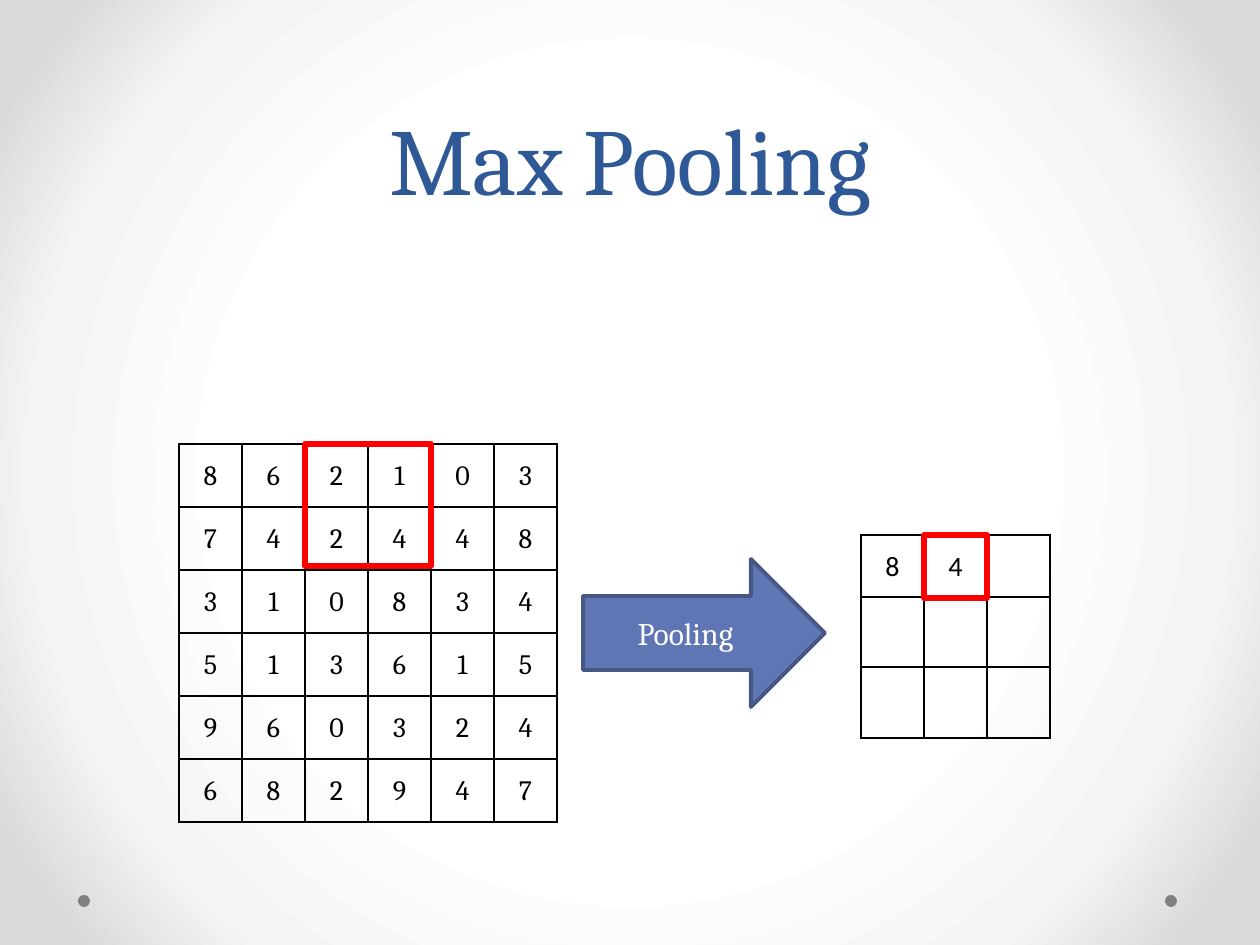
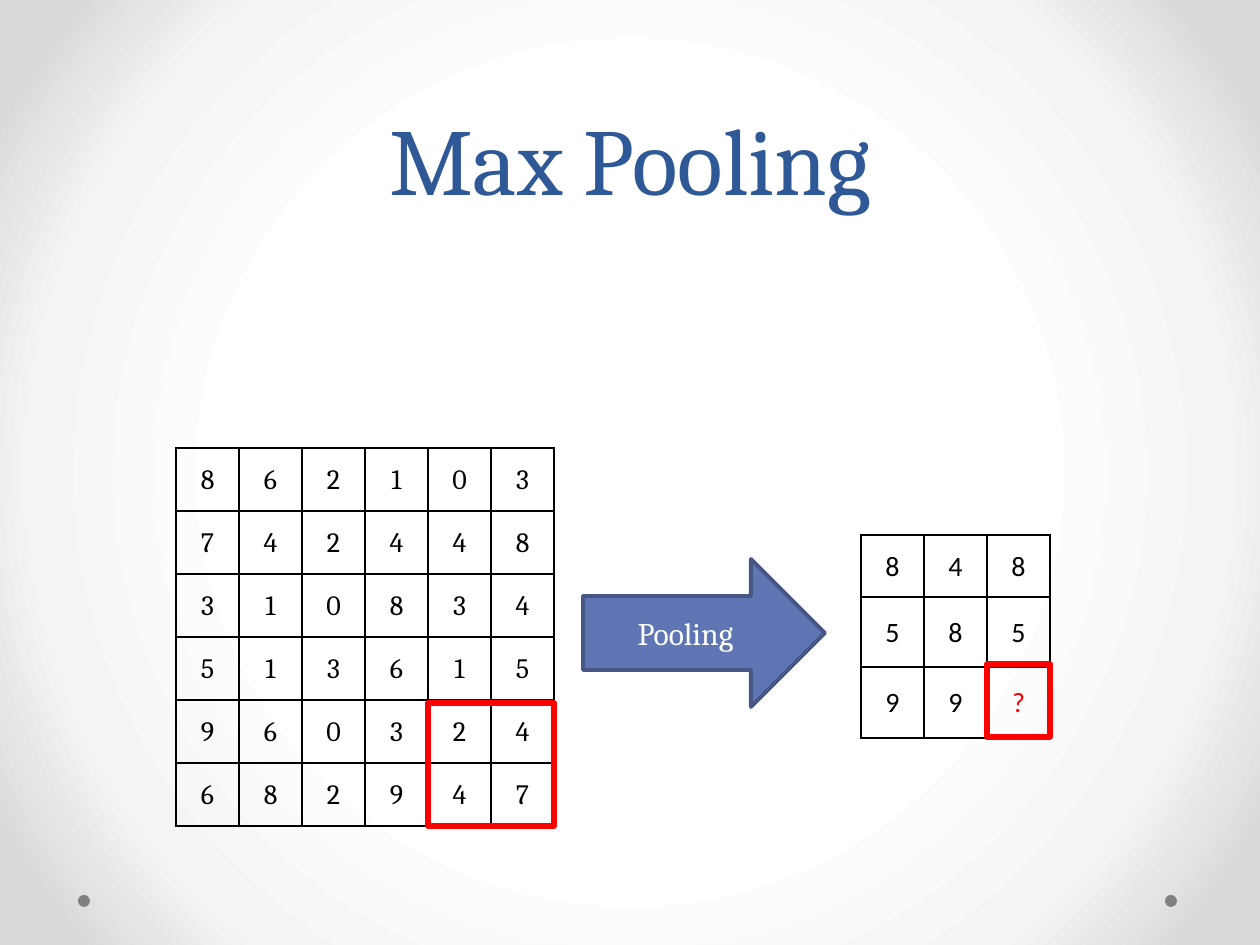
import dataclasses
import typing

import lxml.etree
import pptx
import pptx.dml.color
import pptx.enum.shapes
import pptx.enum.text
import pptx.oxml
import pptx.oxml.ns
import pptx.util

Kind = pptx.enum.shapes.MSO_SHAPE
Anchor = pptx.enum.text.MSO_ANCHOR
Align = pptx.enum.text.PP_ALIGN
qn = pptx.oxml.ns.qn


# Colours, fonts and type sizes
@dataclasses.dataclass(frozen=True)
class Theme:
    title: str = "2F5897"
    ink: str = "000000"
    white: str = "FFFFFF"
    mark: str = "FF0000"
    arrow: str = "6076B4"
    edge: str = "475785"
    dot: str = "808080"
    glow: tuple = ((50, "FFFFFF"), (76, "F4F4F4"), (92, "DADADA"))
    serif: str = "Cambria"
    sans: str = "Calibri"
    head_size: int = 54
    head_lead: int = 58
    label_size: int = 18
    cell_size: int = 16
    grid_line: float = 1
    edge_line: float = 2.25
    mark_line: float = 3


THEME = Theme()


class Box(typing.NamedTuple):
    left: int
    top: int
    width: int
    height: int


class Grid(typing.NamedTuple):
    left: int
    top: int
    rows: tuple[str, ...]  # one character a cell, a space for an empty one
    heights: tuple[int, ...]
    font: str


class Page(typing.NamedTuple):
    input: Grid
    output: Grid
    marks: tuple[Box, ...]


# Sizes in px
CELL = 63
WIDE, HIGH = 1260, 945
TITLE = Box(63, 0, 1134, 221)
ARROW = Box(583, 559, 242, 148)
DOTS = (Box(1165, 895, 12, 12), Box(78, 895, 12, 12))

DIGITS = ("862103", "742448", "310834", "513615", "960324", "682947")


def px(count: int) -> int:
    return round(count * 914400 / 126)


def scale(box: Box) -> tuple[int, ...]:
    return tuple(px(side) for side in box)


def rgb(code: str) -> pptx.dml.color.RGBColor:
    return pptx.dml.color.RGBColor.from_string(code)


# Text
def write(frame, text: str, *, size: float, color: str, font: str,
          lead: float | None = None) -> None:
    para = frame.paragraphs[0]
    para.alignment = Align.CENTER
    if lead:
        para.line_spacing = pptx.util.Pt(lead)
    run = para.add_run()
    run.text = text
    run.font.size = pptx.util.Pt(size)
    run.font.name = font
    run.font.color.rgb = rgb(color)


# Shapes
def draw(slide, kind, box: Box, *, fill: str | None = None,
         line: str | None = None, width: float = 1):
    shape = slide.shapes.add_shape(kind, *scale(box))
    shape.shadow.inherit = False
    if fill:
        shape.fill.solid()
        shape.fill.fore_color.rgb = rgb(fill)
    else:
        shape.fill.background()
    if line:
        shape.line.color.rgb = rgb(line)
        shape.line.width = pptx.util.Pt(width)
    else:
        shape.line.fill.background()
    return shape


# Tables
def border(cell) -> None:
    props = cell._tc.get_or_add_tcPr()
    for spot, side in enumerate(("lnL", "lnR", "lnT", "lnB")):
        line = lxml.etree.Element(qn(f"a:{side}"))
        line.set("w", str(pptx.util.Pt(THEME.grid_line)))
        fill = lxml.etree.SubElement(line, qn("a:solidFill"))
        lxml.etree.SubElement(fill, qn("a:srgbClr")).set("val", THEME.ink)
        props.insert(spot, line)


def tabulate(slide, grid: Grid) -> None:
    count = len(grid.rows[0])
    box = Box(grid.left, grid.top, count * CELL, sum(grid.heights))
    table = slide.shapes.add_table(len(grid.rows), count, *scale(box)).table
    table.first_row = table.horz_banding = False
    for col in table.columns:
        col.width = px(CELL)
    for row, high, marks in zip(table.rows, grid.heights, grid.rows):
        row.height = px(high)
        for cell, mark in zip(row.cells, marks):
            cell.fill.background()
            border(cell)
            cell.vertical_anchor = Anchor.MIDDLE
            cell.margin_left = cell.margin_right = cell.margin_top = px(1)
            cell.margin_bottom = 0
            if mark != " ":
                color = THEME.mark if mark == "?" else THEME.ink
                write(cell.text_frame, mark, size=THEME.cell_size,
                      color=color, font=grid.font)


# Shared background, title place and dots
def shade(master) -> None:
    master.background.fill.solid()
    solid = next(master.element.iter(qn("a:solidFill")))
    stops = "".join(
        f'<a:gs pos="{spot * 1000}"><a:srgbClr val="{code}"/></a:gs>'
        for spot, code in THEME.glow)
    glow = pptx.oxml.parse_xml(
        f'<a:gradFill {pptx.oxml.ns.nsdecls("a")} rotWithShape="1">'
        f'<a:gsLst>{stops}</a:gsLst><a:path path="circle">'
        '<a:fillToRect l="50000" t="50000" r="50000" b="50000"/>'
        '</a:path></a:gradFill>')
    solid.getparent().replace(solid, glow)


def dress(layout, slide) -> None:
    title = layout.placeholders[0]
    title.left, title.top, title.width, title.height = scale(TITLE)
    title.text_frame.vertical_anchor = Anchor.BOTTOM
    for box in DOTS:
        dot = draw(slide, Kind.OVAL, box, fill=THEME.dot)
        layout.element.cSld.spTree.append(dot.element)


# One slide
def build(slide, page: Page) -> None:
    write(slide.shapes.title.text_frame, "Max Pooling", size=THEME.head_size,
          color=THEME.title, font=THEME.serif, lead=THEME.head_lead)
    tabulate(slide, page.input)
    tabulate(slide, page.output)
    arrow = draw(slide, Kind.RIGHT_ARROW, ARROW, fill=THEME.arrow,
                 line=THEME.edge, width=THEME.edge_line)
    arrow.text_frame.vertical_anchor = Anchor.MIDDLE
    write(arrow.text_frame, "Pooling", size=THEME.label_size,
          color=THEME.white, font=THEME.serif)
    for box in page.marks:
        draw(slide, Kind.RECTANGLE, box, line=THEME.mark,
             width=THEME.mark_line)


def source(left: int, top: int) -> Grid:
    return Grid(left, top, DIGITS, (CELL,) * len(DIGITS), THEME.serif)


def result(*rows: str) -> Grid:
    return Grid(861, 535, rows, (62, 70, 71), THEME.sans)


PAGES = (
    Page(source(179, 444), result("84 ", "   ", "   "),
         (Box(924, 535, 63, 63), Box(305, 444, 126, 122))),
    Page(source(176, 448), result("848", "585", "99?"),
         (Box(987, 664, 63, 73), Box(428, 703, 126, 123))),
)


def main() -> None:
    deck = pptx.Presentation()
    deck.slide_width, deck.slide_height = px(WIDE), px(HIGH)
    layout = deck.slide_layouts.get_by_name("Title Only")
    shade(deck.slide_master)
    slides = [deck.slides.add_slide(layout) for _ in PAGES]
    dress(layout, slides[0])
    for slide, page in zip(slides, PAGES):
        build(slide, page)
    deck.save("out.pptx")


if __name__ == "__main__":
    main()
